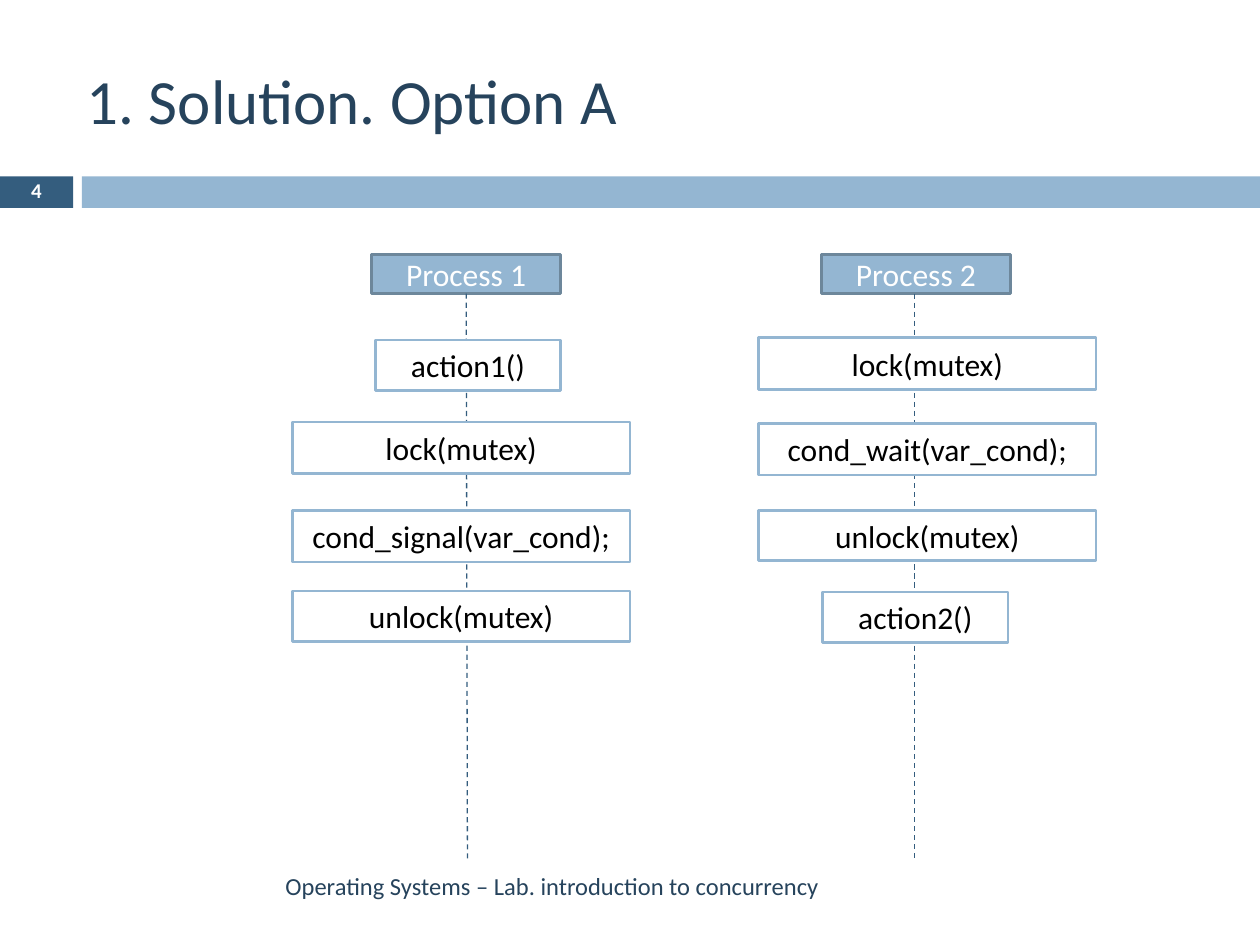
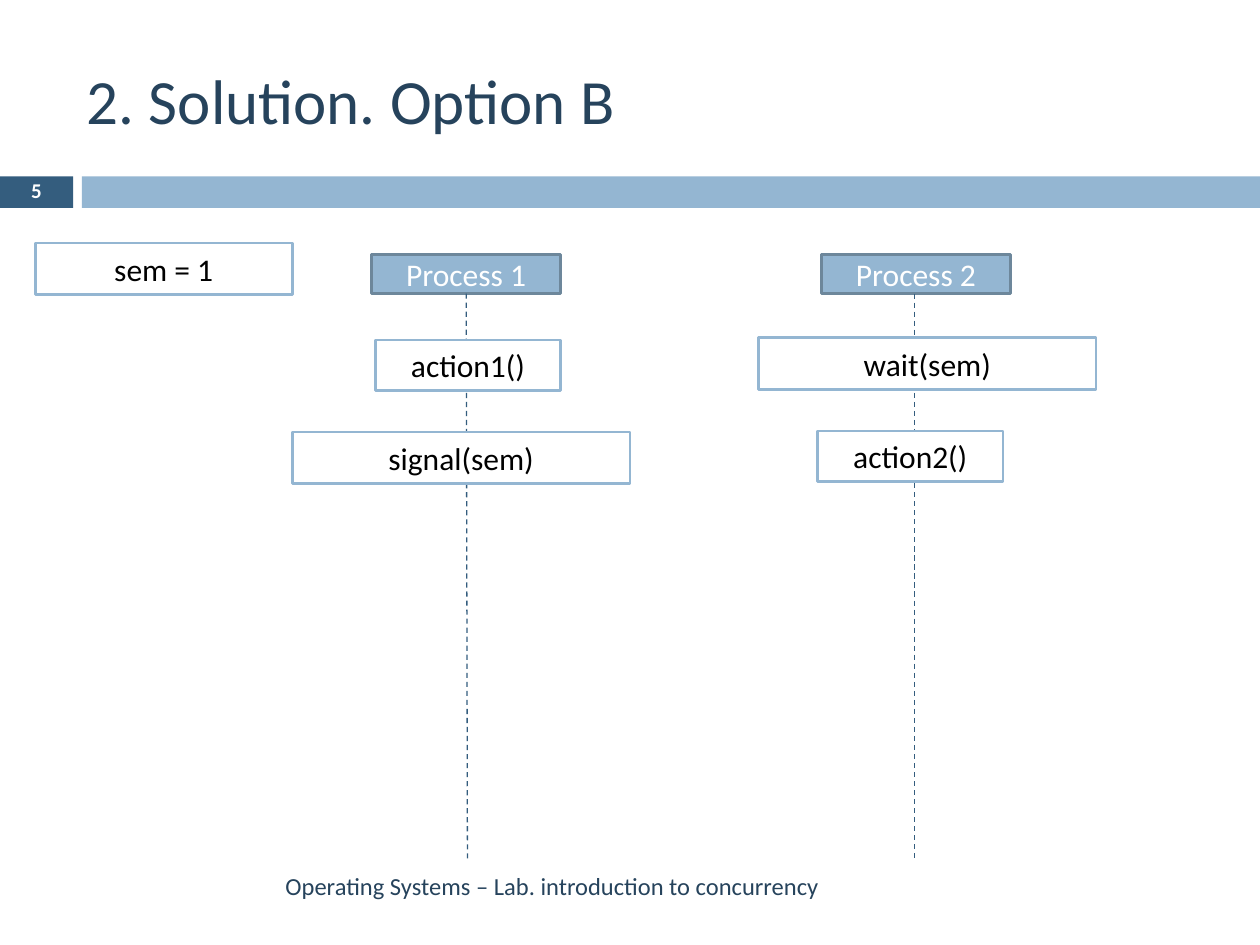
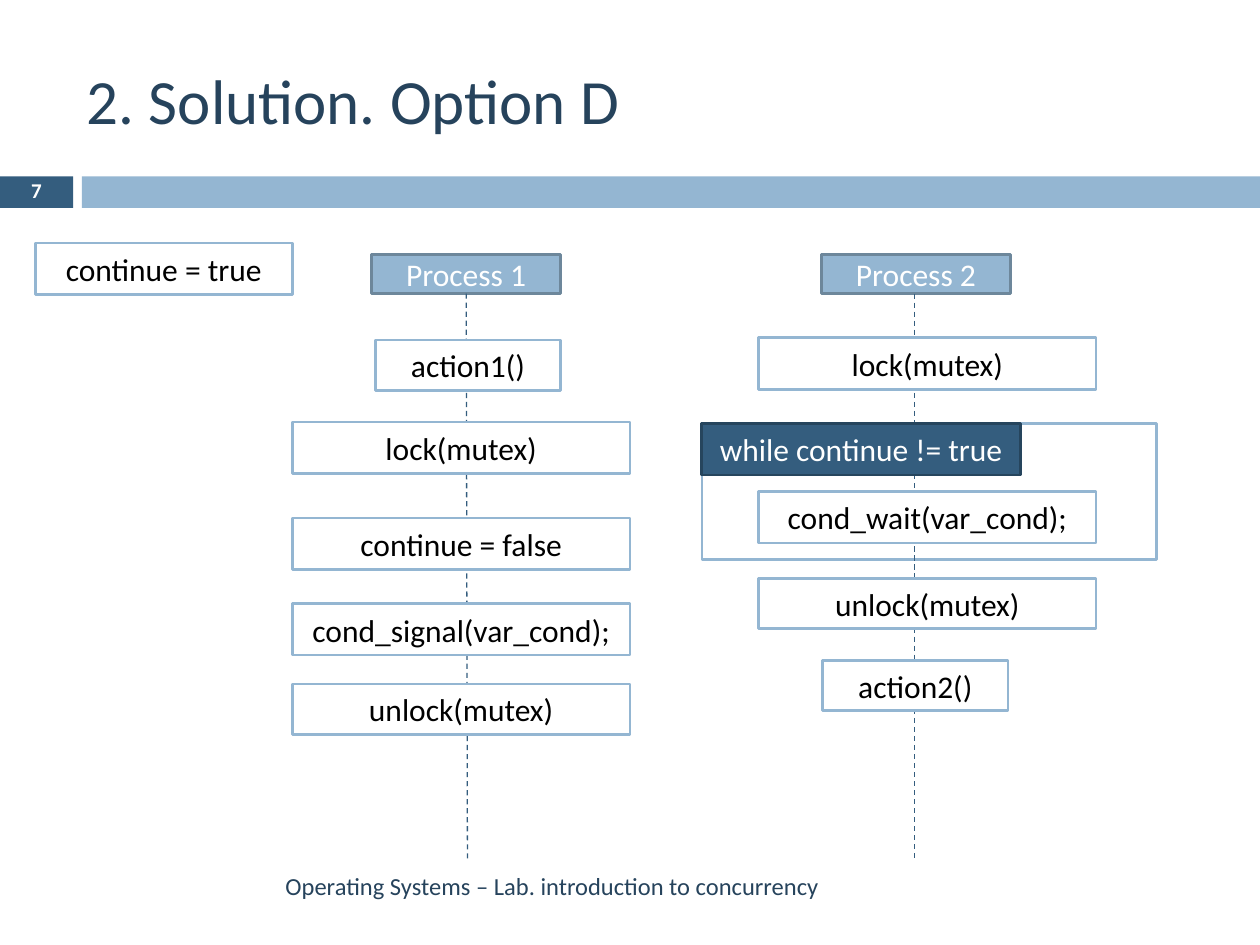
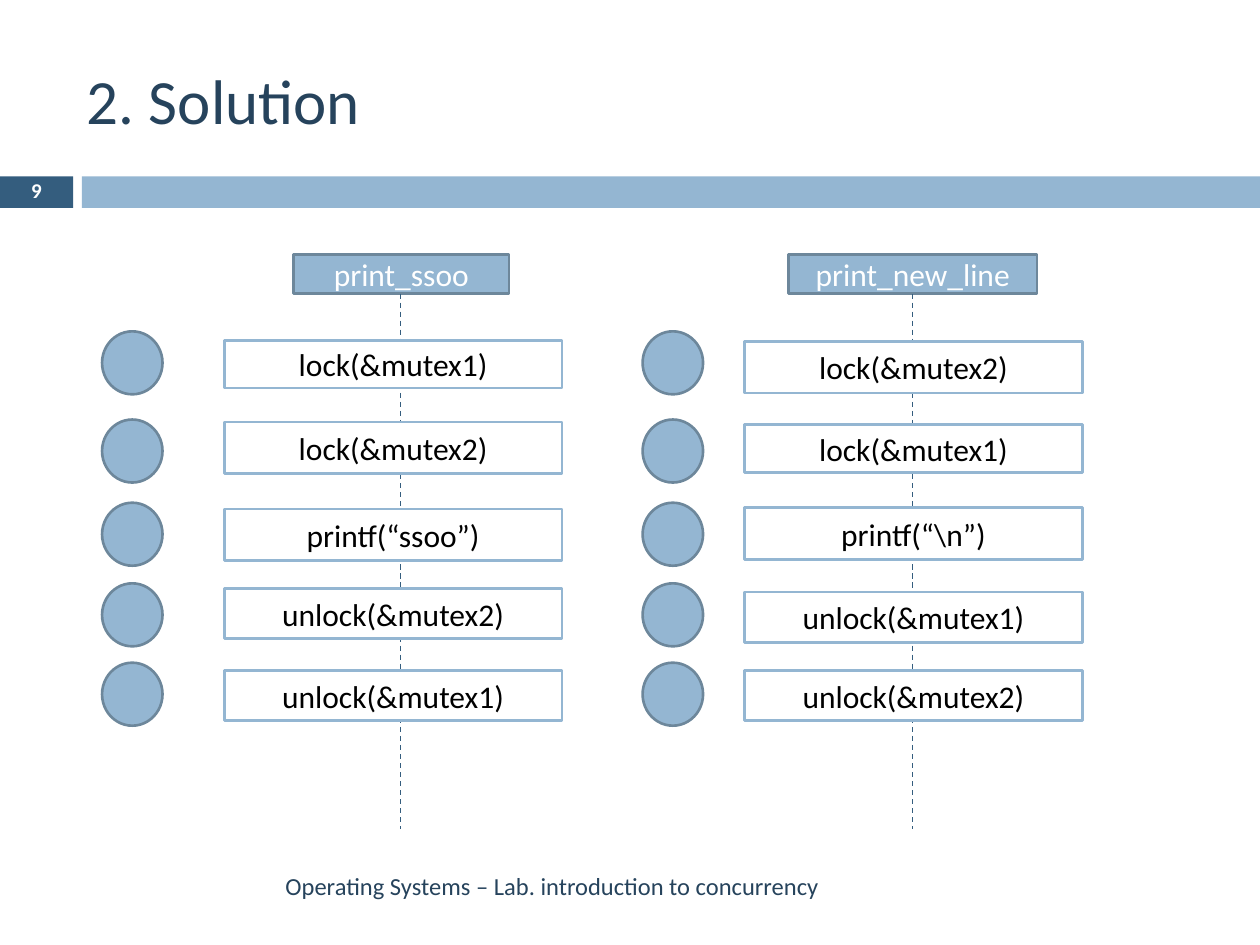
"""Build four slides on solutions with locks and semaphores."""
from dataclasses import dataclass
from typing import Any, Optional

from lxml import etree
from pptx import Presentation
from pptx import util as u
from pptx.dml.color import RGBColor
from pptx.enum import dml, shapes, text
from pptx.oxml.ns import qn


@dataclass(frozen=True)
class Style:
    """Colours of a shape."""
    fill: str
    line: Optional[str]
    ink: str


@dataclass(frozen=True)
class Theme:
    """Colours, type sizes and line widths of the deck."""
    font: str = "Calibri"
    ink: str = "26435C"
    dark: str = "345D7E"
    white: str = "FFFFFF"
    title: int = 36
    label: int = 18
    footer: int = 14
    number: int = 12
    outline: float = 1.5
    lifeline: float = 0.75


T = Theme()
STEP = Style(T.white, "94B6D2", "000000")
HEAD = Style("94B6D2", "6D879B", T.white)
LOOP = Style(T.dark, "26455D", T.white)
DARK_BAND = Style(T.dark, None, T.white)
LIGHT_BAND = Style("94B6D2", None, T.white)

COLS, ROWS = 100, 75
RECT, OVAL = shapes.MSO_SHAPE.RECTANGLE, shapes.MSO_SHAPE.OVAL
LEFT, CENTER, RIGHT = text.PP_ALIGN.LEFT, text.PP_ALIGN.CENTER, text.PP_ALIGN.RIGHT
FOOTER = "Operating Systems – Lab. introduction to concurrency"
HEAD_TOP, HEAD_HEIGHT = 20.2, 3.1


@dataclass(frozen=True)
class Box:
    """A rectangle in grid columns and rows."""
    left: float
    top: float
    width: float
    height: float


@dataclass(frozen=True)
class Step:
    """One action on a lane, shifted from the lane's left edge."""
    label: str
    top: float
    height: float = 4.1
    shift: float = 0
    width: float = 26.8
    style: Style = STEP


@dataclass(frozen=True)
class Lane:
    """A process with its header, lifeline and steps."""
    name: str
    head_left: float
    head_width: float
    axis: tuple[float, float]
    bottom: float
    left: float
    steps: list[Step]


@dataclass(frozen=True)
class Page:
    """The content of one slide."""
    number: int
    title: str
    lanes: list[Lane]
    state: str = ""
    frame: Optional[Box] = None
    dots: tuple[float, ...] = ()


prs = Presentation()
prs.slide_width, prs.slide_height = u.Inches(10), u.Inches(7.5)


def x(col: float) -> int:
    """Turn grid columns into a length."""
    return round(prs.slide_width * col / COLS)


def y(row: float) -> int:
    """Turn grid rows into a length."""
    return round(prs.slide_height * row / ROWS)


def place(box: Box) -> tuple[int, int, int, int]:
    """Turn a grid box into lengths."""
    return x(box.left), y(box.top), x(box.width), y(box.height)


def apply(target: Any, values: dict[str, Any]) -> None:
    """Set every named attribute on the target."""
    for name, value in values.items():
        setattr(target, name, value)


def write(tf: Any, words: str, size: int, ink: str, align: Any,
          bold: bool = False, spacing: Optional[float] = None) -> None:
    """Write one formatted paragraph."""
    apply(tf, {"word_wrap": True, "auto_size": text.MSO_AUTO_SIZE.NONE,
               "vertical_anchor": text.MSO_ANCHOR.MIDDLE})
    p = tf.paragraphs[0]
    apply(p, {"alignment": align, "line_spacing": spacing})
    r = p.add_run()
    r.text = words
    apply(r.font, {"name": T.font, "size": u.Pt(size), "bold": bold})
    r.font.color.rgb = RGBColor.from_string(ink)


def add_box(s: Any, box: Box, style: Style, words: str = "", kind: Any = RECT) -> Any:
    """Draw a filled shape with an optional label."""
    sp = s.shapes.add_shape(kind, *place(box))
    sp.shadow.inherit = False
    sp.fill.solid()
    sp.fill.fore_color.rgb = RGBColor.from_string(style.fill)
    if style.line:
        sp.line.color.rgb = RGBColor.from_string(style.line)
        sp.line.width = u.Pt(T.outline)
    else:
        sp.line.fill.background()
    if words:
        write(sp.text_frame, words, T.label, style.ink, CENTER)
    return sp


def add_text(s: Any, box: Box, words: str, size: int, ink: str, align: Any,
             **options: Any) -> None:
    """Add a wrapped text box."""
    sp = s.shapes.add_textbox(*place(box))
    write(sp.text_frame, words, size, ink, align, **options)


def add_lane(s: Any, lane: Lane) -> None:
    """Draw a process header, its dashed lifeline and its steps."""
    add_box(s, Box(lane.head_left, HEAD_TOP, lane.head_width, HEAD_HEIGHT), HEAD, lane.name)
    start, end = lane.axis
    line = s.shapes.add_connector(shapes.MSO_CONNECTOR.STRAIGHT, x(start),
                                  y(HEAD_TOP + HEAD_HEIGHT), x(end), y(lane.bottom))
    line.line.color.rgb = RGBColor.from_string(T.dark)
    apply(line.line, {"width": u.Pt(T.lifeline), "dash_style": dml.MSO_LINE.DASH})
    etree.SubElement(line.element.spPr, qn("a:effectLst"))
    for step in lane.steps:
        box = Box(lane.left + step.shift, step.top, step.width, step.height)
        add_box(s, box, step.style, step.label)


def set_up_layout(layout: Any, s: Any) -> None:
    """Place the title and move the shared bands to the layout."""
    title = layout.placeholders[0]
    apply(title, dict(zip(("left", "top", "width", "height"),
                          place(Box(5.9, 2.5, 95.3, 10.8)))))
    for box, style in ((Box(0, 14, 5.8, 2.5), DARK_BAND),
                       (Box(6.5, 14, 93.5, 2.5), LIGHT_BAND)):
        layout.shapes.element.append(add_box(s, box, style).element)


def add_page(s: Any, page: Page) -> None:
    """Fill one slide."""
    write(s.shapes.title.text_frame, page.title, T.title, T.ink, LEFT)
    add_text(s, Box(0, 13.9, 5.8, 2.7), str(page.number), T.number, T.white, CENTER,
             bold=True, spacing=0.8)
    add_text(s, Box(6.7, 68.3, 59.3, 4), FOOTER, T.footer, T.ink, RIGHT)
    if page.frame:
        add_box(s, page.frame, STEP)
    for lane in page.lanes:
        add_lane(s, lane)
    if page.state:
        add_box(s, Box(2.8, 19.3, 20.4, 4.1), STEP, page.state)
    for left in page.dots:
        for top in (26.3, 33.3, 39.9, 46.3, 52.6):
            add_box(s, Box(left, top, 4.8, 5), HEAD, kind=OVAL)


def first(*steps: Step) -> Lane:
    """Make the lane of process 1, which opens with its action."""
    opening = Step("action1()", 27, 4, 6.6, 14.7)
    return Lane("Process 1", 29.5, 15, (37, 37.1), 68.3, 23.2, [opening, *steps])


def second(action_top: float, action_shift: float, *steps: Step) -> Lane:
    """Make the lane of process 2, which closes with its action."""
    closing = Step("action2()", action_top, 4, action_shift, 14.7)
    return Lane("Process 2", 65.2, 15, (72.6, 72.6), 68.3, 60.2, [*steps, closing])


PAGES = [
    Page(4, "1. Solution. Option A", [
        first(Step("lock(mutex)", 33.5), Step("cond_signal(var_cond);", 40.5),
              Step("unlock(mutex)", 46.9, 4)),
        second(47, 5.1, Step("lock(mutex)", 26.8), Step("cond_wait(var_cond);", 33.6),
               Step("unlock(mutex)", 40.5, 4)),
    ]),
    Page(5, "2. Solution. Option B", [
        first(Step("signal(sem)", 34.3)),
        second(34.2, 4.7, Step("wait(sem)", 26.8)),
    ], state="sem = 1"),
    Page(7, "2. Solution. Option D", [
        first(Step("lock(mutex)", 33.5), Step("continue = false", 41.1),
              Step("cond_signal(var_cond);", 47.9), Step("unlock(mutex)", 54.3, 4)),
        second(52.4, 5.1, Step("lock(mutex)", 26.8),
               Step("while continue != true", 33.6, 4.1, -4.5, 25.3, LOOP),
               Step("cond_wait(var_cond);", 39), Step("unlock(mutex)", 45.9, 4)),
    ], state="continue = true", frame=Box(55.7, 33.6, 36.1, 10.8)),
    Page(9, "2. Solution", [
        Lane("print_ssoo", 23.3, 17.1, (31.8, 31.8), 65.8, 17.8, [
            Step("lock(&mutex1)", 27, 3.8), Step("lock(&mutex2)", 33.5),
            Step("printf(“ssoo”)", 40.4), Step("unlock(&mutex2)", 46.7, 4),
            Step("unlock(&mutex1)", 53.2, 4)]),
        Lane("print_new_line", 62.6, 19.7, (72.4, 72.4), 65.8, 59.1, [
            Step("lock(&mutex2)", 27.1), Step("lock(&mutex1)", 33.7, 3.8),
            Step("printf(“\\n”)", 40.3), Step("unlock(&mutex1)", 47, 4),
            Step("unlock(&mutex2)", 53.2, 4)]),
    ], dots=(8.1, 51)),
]

title_only = prs.slide_layouts[5]
slides = [prs.slides.add_slide(title_only) for _ in PAGES]
set_up_layout(title_only, slides[0])
for slide, content in zip(slides, PAGES):
    add_page(slide, content)
prs.save("out.pptx")
